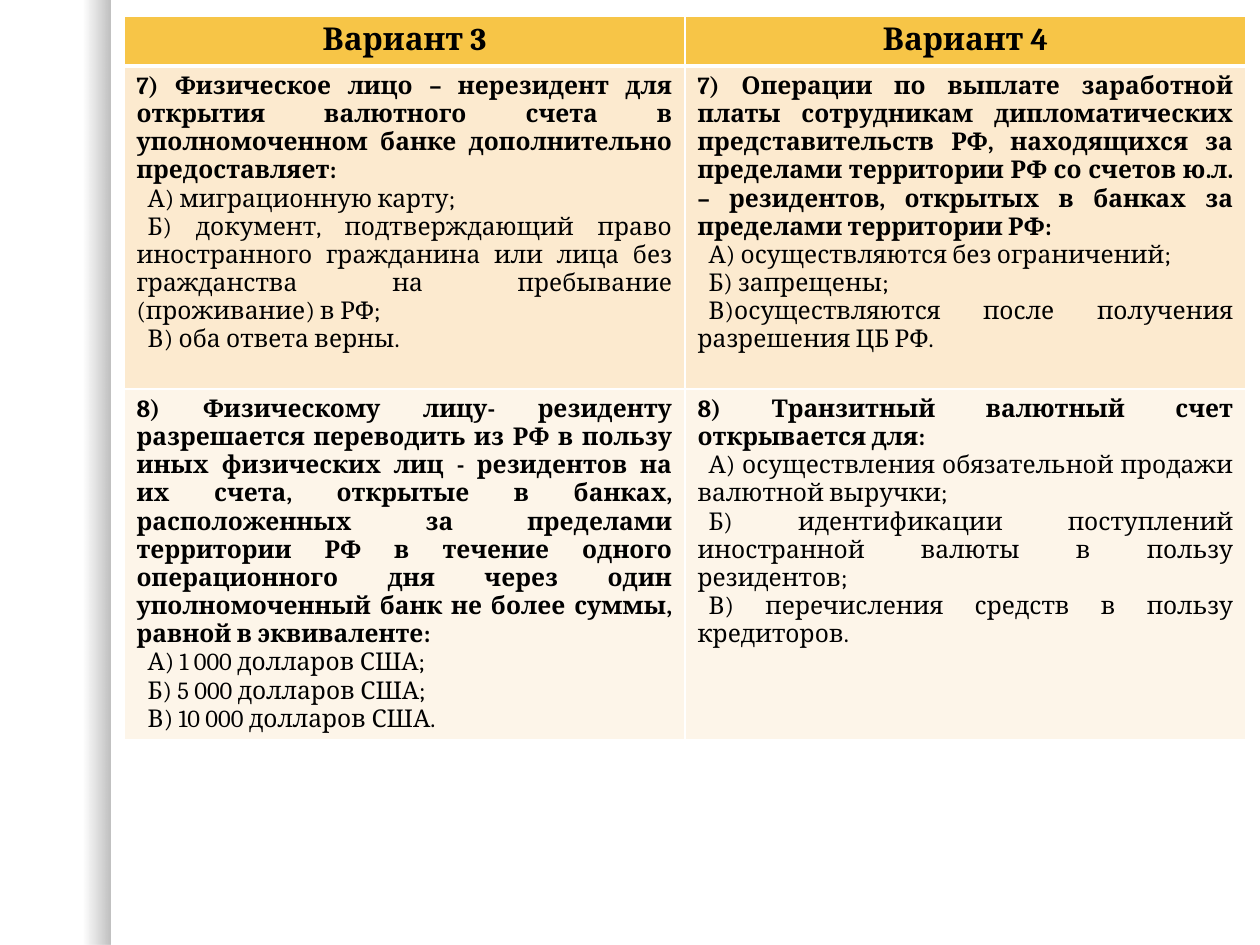
from dataclasses import dataclass

import lxml.etree
import pptx
import pptx.dml.color
import pptx.enum.shapes
import pptx.enum.text
import pptx.oxml.ns
import pptx.util

PX = 914400 // 126
FONT = "Cambria"
BLACK, WHITE = "000000", "FFFFFF"
HEADER_FILL = "F7C547"
ROW_FILLS = ["FCEACF", "FDF5E9"]
TABLE_LEFT, TABLE_TOP, COLUMN_WIDTH = 124, 16, 561
ROW_HEIGHTS = [50, 323, 350]
OPTION_INDENT = 11
ALIGN = pptx.enum.text.PP_ALIGN


@dataclass
class Question:
    prompt: str
    options: list[str]


@dataclass
class Variant:
    title: str
    questions: list[Question]


VARIANTS = [
    Variant("Вариант 3", [
        Question(
            "7) Физическое лицо – нерезидент для открытия валютного счета в "
            "уполномоченном банке дополнительно предоставляет:",
            ["А) миграционную карту;",
             "Б) документ, подтверждающий право иностранного гражданина или лица "
             "без гражданства на пребывание (проживание) в РФ;",
             "В) оба ответа верны."]),
        Question(
            "8) Физическому лицу- резиденту разрешается переводить из РФ в пользу "
            "иных физических лиц - резидентов на их счета, открытые в банках, "
            "расположенных за пределами территории РФ в течение одного "
            "операционного дня через один уполномоченный банк не более суммы, "
            "равной в эквиваленте:",
            ["А) 1 000 долларов США;",
             "Б) 5 000 долларов США;",
             "В) 10 000 долларов США."]),
    ]),
    Variant("Вариант 4", [
        Question(
            "7) Операции по выплате заработной платы сотрудникам дипломатических "
            "представительств РФ, находящихся за пределами территории РФ со счетов "
            "ю.л. – резидентов, открытых в банках за пределами территории РФ:",
            ["А) осуществляются без ограничений;",
             "Б) запрещены;",
             "В)осуществляются после получения разрешения ЦБ РФ."]),
        Question(
            "8) Транзитный валютный счет открывается для:",
            ["А) осуществления обязательной продажи валютной выручки;",
             "Б) идентификации поступлений иностранной валюты в пользу резидентов;",
             "В) перечисления средств в пользу кредиторов."]),
    ]),
]


def px(length: int) -> int:
    return length * PX


def color(value: str) -> pptx.dml.color.RGBColor:
    return pptx.dml.color.RGBColor.from_string(value)


def add_child(parent, tag: str, **attributes: str):
    child = lxml.etree.SubElement(parent, pptx.oxml.ns.qn(tag))
    for name, value in attributes.items():
        child.set(name, value)
    return child


def write(paragraph, text: str, *, size: int = 14, bold: bool = False,
          align=ALIGN.JUSTIFY, indent: int = 0) -> None:
    paragraph.alignment = align
    if indent:
        properties = paragraph._p.get_or_add_pPr()
        properties.set("marL", "0")
        properties.set("indent", str(px(indent)))
    run = paragraph.add_run()
    run.text = text
    run.font.name = FONT
    run.font.size = pptx.util.Pt(size)
    run.font.bold = bold
    run.font.color.rgb = color(BLACK)


def style_cell(cell, fill: str, top: int = 1, bottom: int = 1) -> None:
    # Borders come before the fill in the cell properties
    properties = cell._tc.get_or_add_tcPr()
    for side, width in {"L": 1, "R": 1, "T": top, "B": bottom}.items():
        line = add_child(properties, f"a:ln{side}", w=str(pptx.util.Pt(width)))
        add_child(add_child(line, "a:solidFill"), "a:srgbClr", val=WHITE)
    cell.fill.solid()
    cell.fill.fore_color.rgb = color(fill)


def fill_question(cell, question: Question) -> None:
    write(cell.text_frame.paragraphs[0], question.prompt, bold=True)
    for option in question.options:
        write(cell.text_frame.add_paragraph(), option, indent=OPTION_INDENT)


def add_edge_shade(slide) -> None:
    shade = slide.shapes.add_shape(
        pptx.enum.shapes.MSO_SHAPE.RECTANGLE, 0, 0, px(110), px(945))
    shade.shadow.inherit = False
    shade.line.fill.background()
    shade.fill.gradient()
    shade.fill.gradient_angle = 0
    for stop, (position, opacity) in zip(shade.fill.gradient_stops,
                                         [(0.75, 0), (1, 25)]):
        stop.position = position
        stop.color.rgb = color(BLACK)
        black = stop._gs.find(pptx.oxml.ns.qn("a:srgbClr"))
        add_child(black, "a:alpha", val=str(opacity * 1000))


def add_variants(slide, variants: list[Variant]) -> None:
    table = slide.shapes.add_table(
        len(ROW_HEIGHTS), len(variants), px(TABLE_LEFT), px(TABLE_TOP),
        px(COLUMN_WIDTH * len(variants)), px(sum(ROW_HEIGHTS))).table
    for row, height in zip(table.rows, ROW_HEIGHTS):
        row.height = px(height)
    for column, variant in enumerate(variants):
        table.columns[column].width = px(COLUMN_WIDTH)
        header = table.cell(0, column)
        style_cell(header, HEADER_FILL, bottom=3)
        write(header.text_frame.paragraphs[0], variant.title,
              size=18, bold=True, align=ALIGN.CENTER)
        for row, question in enumerate(variant.questions, start=1):
            cell = table.cell(row, column)
            style_cell(cell, ROW_FILLS[row - 1], top=3 if row == 1 else 1)
            fill_question(cell, question)


def main() -> None:
    presentation = pptx.Presentation()
    presentation.slide_width = px(1260)
    presentation.slide_height = px(945)
    slide = presentation.slides.add_slide(presentation.slide_layouts[6])

    # Shaded left edge
    add_edge_shade(slide)

    # Test questions, one variant per column
    add_variants(slide, VARIANTS)

    presentation.save("out.pptx")


if __name__ == "__main__":
    main()
